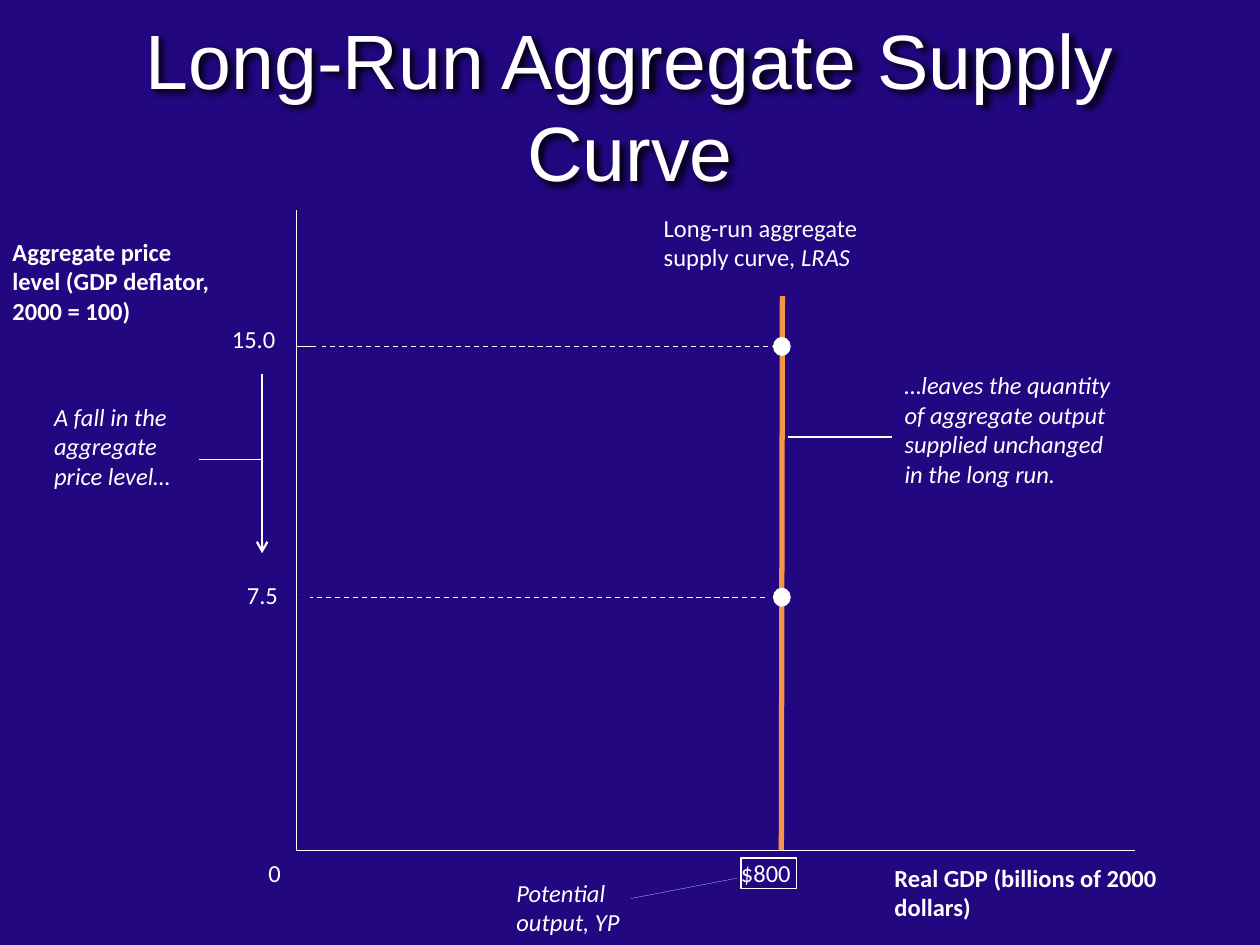
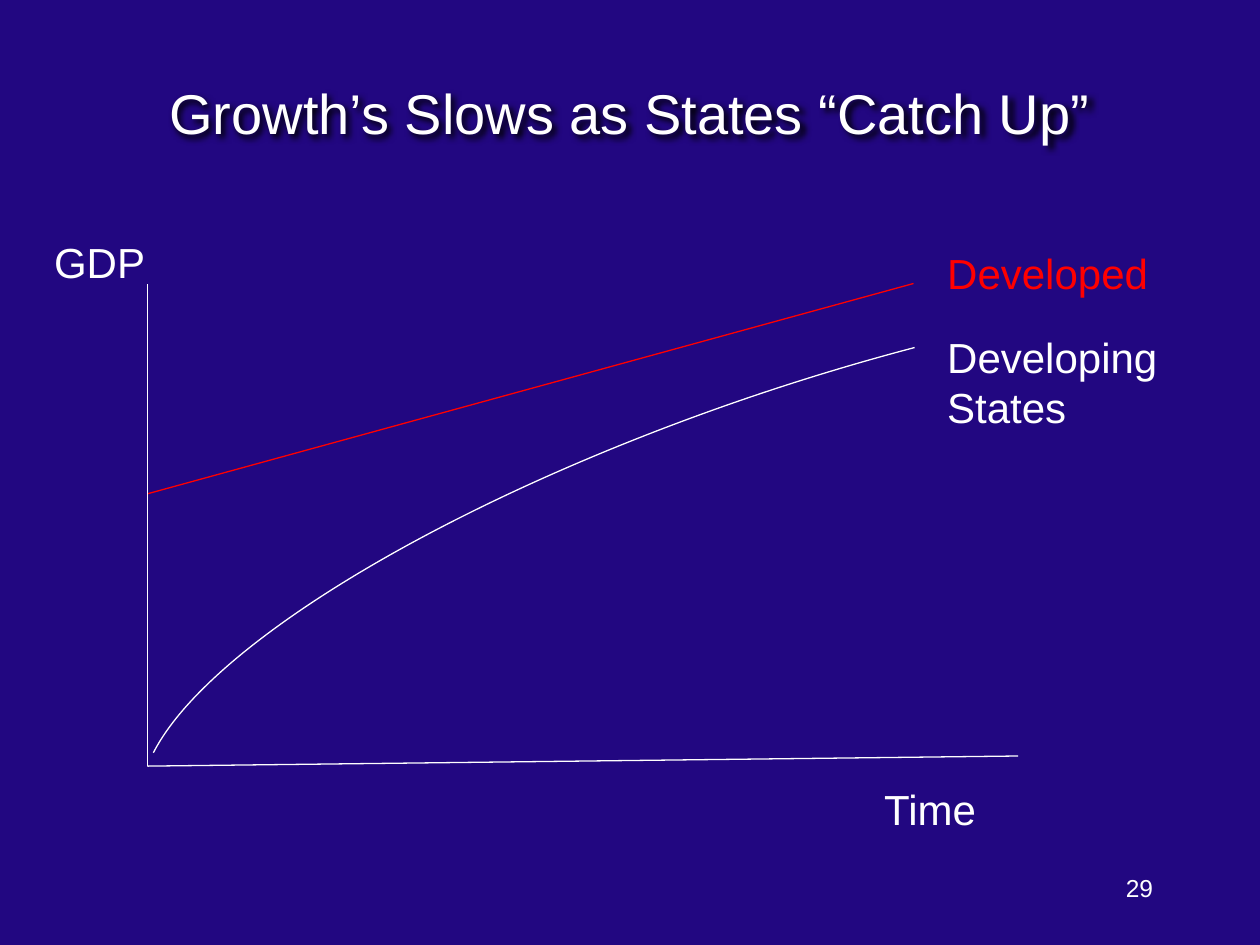
"""Builds two slides: the long-run aggregate supply curve and catch-up growth."""
from lxml import etree
from pptx import Presentation
from pptx.dml.color import RGBColor
from pptx.enum.dml import MSO_LINE
from pptx.enum.shapes import MSO_CONNECTOR, MSO_SHAPE
from pptx.enum.text import MSO_ANCHOR, MSO_AUTO_SIZE, PP_ALIGN
from pptx.oxml.ns import qn
from pptx.util import Pt

STRAIGHT = MSO_CONNECTOR.STRAIGHT
ARC, OVAL, RECTANGLE = MSO_SHAPE.ARC, MSO_SHAPE.OVAL, MSO_SHAPE.RECTANGLE
DASH = MSO_LINE.DASH
GROW = MSO_AUTO_SIZE.SHAPE_TO_FIT_TEXT
TOP, MIDDLE = MSO_ANCHOR.TOP, MSO_ANCHOR.MIDDLE
LEFT, CENTER, RIGHT = PP_ALIGN.LEFT, PP_ALIGN.CENTER, PP_ALIGN.RIGHT

NAVY, WHITE, ORANGE, RED, BLACK = "220781", "FFFFFF", "F79448", "FF0000", "000000"
BODY_FONT, HEAD_FONT = "Calibri", "Arial"
HAIRLINE, THIN = 0.1, 0.75

AXIS_X, AXIS_TOP, AXIS_Y, AXIS_RIGHT = 169.2, 120.2, 486, 648.7
SUPPLY_X, SUPPLY_TOP = 446.8, 169.2
DOT_WIDTH, DOT_HEIGHT = 9.4, 10.1
HIGH_PRICE_Y, LOW_PRICE_Y = 198, 341.3
ARROW_X = 149.8

SUPPLY_TITLE = ("Long-Run Aggregate Supply Curve", (36, 5.8, 648, 108), 44)
AXIS_VALUES = [
    ("15.0", (132.5, 185, 27.4, 17.3)),
    ("7.5", (141.1, 331.2, 19.4, 17.3)),
    ("0", (153.4, 490.3, 7.9, 17.3)),
]
POTENTIAL_VALUE = ("$800", (423.4, 490.3, 31.7, 17.3))
AXIS_TITLES = [
    (["Real GDP (billions of 2000 dollars)"], (504, 489.6, 185.8, 41)),
    (["Aggregate price", "level (GDP deflator,", "2000 = 100)"], (0, 131.8, 174.2, 58.3)),
]
CURVE_NAME = (["Long-run aggregate", "supply curve, "], "LRAS", (372.2, 118.1, 180, 41))
COMMENTS = [
    (["Potential", "output, YP"], (288, 498.2, 90, 41)),
    (["A fall in the", "aggregate", "price level…"], (23.8, 226.1, 95.8, 58.3)),
    (["…leaves the quantity", "of aggregate output", "supplied unchanged", "in the long run."],
     (509.8, 208.1, 156.2, 74.9)),
]
SUPPLY_LINES = [
    ((450, 249.8), (509.8, 249.8), WHITE, THIN),
    ((360.7, 513.4), (421.2, 501.8), WHITE, HAIRLINE),
    ((113.8, 262.1), (ARROW_X, 262.1), WHITE, HAIRLINE),
    ((AXIS_X, HIGH_PRICE_Y), (180.7, HIGH_PRICE_Y), WHITE, HAIRLINE),
    ((AXIS_X, LOW_PRICE_Y), (180.7, LOW_PRICE_Y + 0.5), BLACK, HAIRLINE),
    ((SUPPLY_X - 0.3, AXIS_Y), (SUPPLY_X + 0.3, SUPPLY_TOP), ORANGE, 3),
]
PRICE_LINES = [(444.2, 184.3, HIGH_PRICE_Y), (437, 177.1, LOW_PRICE_Y)]
PRICE_FALL = ((ARROW_X, 213.8), (ARROW_X, 316.1))

GROWTH_TITLE = ("Growth’s Slows as States “Catch Up”", (36, 36, 648, 56.2), 32)
ORIGIN = (84.2, 437.8)
GROWTH_LINES = [
    ((84.2, 282.2), (522, 162), RED, THIN),
    (ORIGIN, (581.8, 432), WHITE, THIN),
    (ORIGIN, (84.2, 162), WHITE, THIN),
]
GROWTH_LABELS = [
    ("Developed", (534.2, 138.2, 131.8, 36), RED),
    ("Developing States", (534.2, 185.8, 144, 65.5), WHITE),
    ("GDP", (23.8, 131.8, 77.8, 36), WHITE),
    ("Time", (498.2, 444.2, 84.2, 36), WHITE),
]
CATCH_UP_BOX, CATCH_UP_TILT = (61.2, 220.3, 812.2, 231.1), 341.3
CATCH_UP_ENDS = (137.6, 213.15)
PAGE_NUMBER = ("29", (516.2, 495.4, 149.8, 36))


def color(value):
    """Turns a hex string into a colour."""
    return RGBColor.from_string(value)


def points(values):
    """Turns numbers into point lengths."""
    return [Pt(value) for value in values]


def write(shape, lines, size, font=BODY_FONT, ink=WHITE, bold=False, italic=False,
          align=LEFT, anchor=TOP, tight=False):
    """Fills a shape with formatted paragraphs."""
    frame = shape.text_frame
    frame.word_wrap = not tight
    frame.vertical_anchor = anchor
    if tight:
        frame.margin_left = frame.margin_top = frame.margin_right = frame.margin_bottom = 0
    frame.text = "\n".join(lines)
    for paragraph in frame.paragraphs:
        paragraph.alignment = align
        for run in paragraph.runs:
            style(run, size, font, ink, bold, italic)


def style(run, size, font=BODY_FONT, ink=WHITE, bold=False, italic=False):
    """Formats one run."""
    run.font.size, run.font.name = Pt(size), font
    run.font.bold, run.font.italic = bold, italic
    run.font.color.rgb = color(ink)


def add_text(slide, lines, box, size, grow=True, **options):
    """Adds a text box."""
    shape = slide.shapes.add_textbox(*points(box))
    write(shape, lines, size, **options)
    if grow:
        shape.text_frame.auto_size = GROW
    return shape


def add_title(slide, text, box, size):
    """Adds a centred title with a soft shadow."""
    shape = add_text(slide, [text], box, size, grow=False, font=HEAD_FONT,
                     align=CENTER, anchor=MIDDLE)
    effects = etree.SubElement(shape.element.spPr, qn("a:effectLst"))
    shadow = etree.SubElement(effects, qn("a:outerShdw"), blurRad=str(Pt(4)),
                              dist=str(Pt(2)), dir="2700000", algn="tl")
    etree.SubElement(shadow, qn("a:srgbClr"), val=BLACK)


def add_line(slide, start, end, ink=WHITE, width=THIN, dash=None, arrow=False):
    """Adds a straight line, dashed or with an arrowhead on request."""
    connector = slide.shapes.add_connector(STRAIGHT, *points(start + end))
    connector.line.color.rgb = color(ink)
    connector.line.width = Pt(width)
    if dash:
        connector.line.dash_style = dash
    if arrow:
        outline_element = connector.element.spPr.find(qn("a:ln"))
        etree.SubElement(outline_element, qn("a:tailEnd"), type="arrow")
    etree.SubElement(connector.element.spPr, qn("a:effectLst"))


def outline(shape, width=THIN, fill=None):
    """Gives a shape a white line and an optional fill."""
    shape.shadow.inherit = False
    shape.line.color.rgb = color(WHITE)
    shape.line.width = Pt(width)
    if fill:
        shape.fill.solid()
        shape.fill.fore_color.rgb = color(fill)
    else:
        shape.fill.background()


def build_supply(slide):
    """Draws the long-run aggregate supply diagram."""
    for line in SUPPLY_LINES:
        add_line(slide, *line)
    axes = slide.shapes.build_freeform(Pt(AXIS_RIGHT), Pt(AXIS_Y))
    axes.add_line_segments([points((AXIS_X, AXIS_Y)), points((AXIS_X, AXIS_TOP))], close=False)
    outline(axes.convert_to_shape(), HAIRLINE)
    for start, end, height in PRICE_LINES:
        add_line(slide, (start, height), (end, height), dash=DASH)
        dot = slide.shapes.add_shape(OVAL, *points((
            SUPPLY_X - DOT_WIDTH / 2, height - DOT_HEIGHT / 2, DOT_WIDTH, DOT_HEIGHT)))
        outline(dot, fill=WHITE)
    add_line(slide, *PRICE_FALL, width=1.25, arrow=True)

    for text, box in AXIS_VALUES:
        add_text(slide, [text], box, 14, tight=True)
    text, box = POTENTIAL_VALUE
    frame = slide.shapes.add_shape(RECTANGLE, *points(box))
    outline(frame)
    write(frame, [text], 14, tight=True)
    for lines, box in AXIS_TITLES:
        add_text(slide, lines, box, 14, bold=True)
    for lines, box in COMMENTS:
        add_text(slide, lines, box, 14, italic=True)
    lines, symbol, box = CURVE_NAME
    label = add_text(slide, lines, box, 14)
    run = label.text_frame.paragraphs[-1].add_run()
    run.text = symbol
    style(run, 14, italic=True)
    add_title(slide, *SUPPLY_TITLE)


def build_growth(slide):
    """Draws the growth paths of developed and developing states."""
    text, box = PAGE_NUMBER
    add_text(slide, [text], box, 14, grow=False, font=HEAD_FONT, align=RIGHT)
    add_title(slide, *GROWTH_TITLE)
    for line in GROWTH_LINES:
        add_line(slide, *line)
    curve = slide.shapes.add_shape(ARC, *points(CATCH_UP_BOX))
    outline(curve)
    for index, end in enumerate(CATCH_UP_ENDS):
        curve.adjustments[index] = end
    curve.rotation = CATCH_UP_TILT
    curve.element.spPr.find(qn("a:xfrm")).set("flipH", "1")
    for text, box, ink in GROWTH_LABELS:
        add_text(slide, [text], box, 24, font=HEAD_FONT, ink=ink)


def main():
    """Builds and saves the presentation."""
    presentation = Presentation()
    presentation.slide_width, presentation.slide_height = Pt(720), Pt(540)
    background = presentation.slide_master.background.fill
    background.solid()
    background.fore_color.rgb = color(NAVY)
    for build in (build_supply, build_growth):
        build(presentation.slides.add_slide(presentation.slide_layouts[6]))
    presentation.save("out.pptx")


if __name__ == "__main__":
    main()
